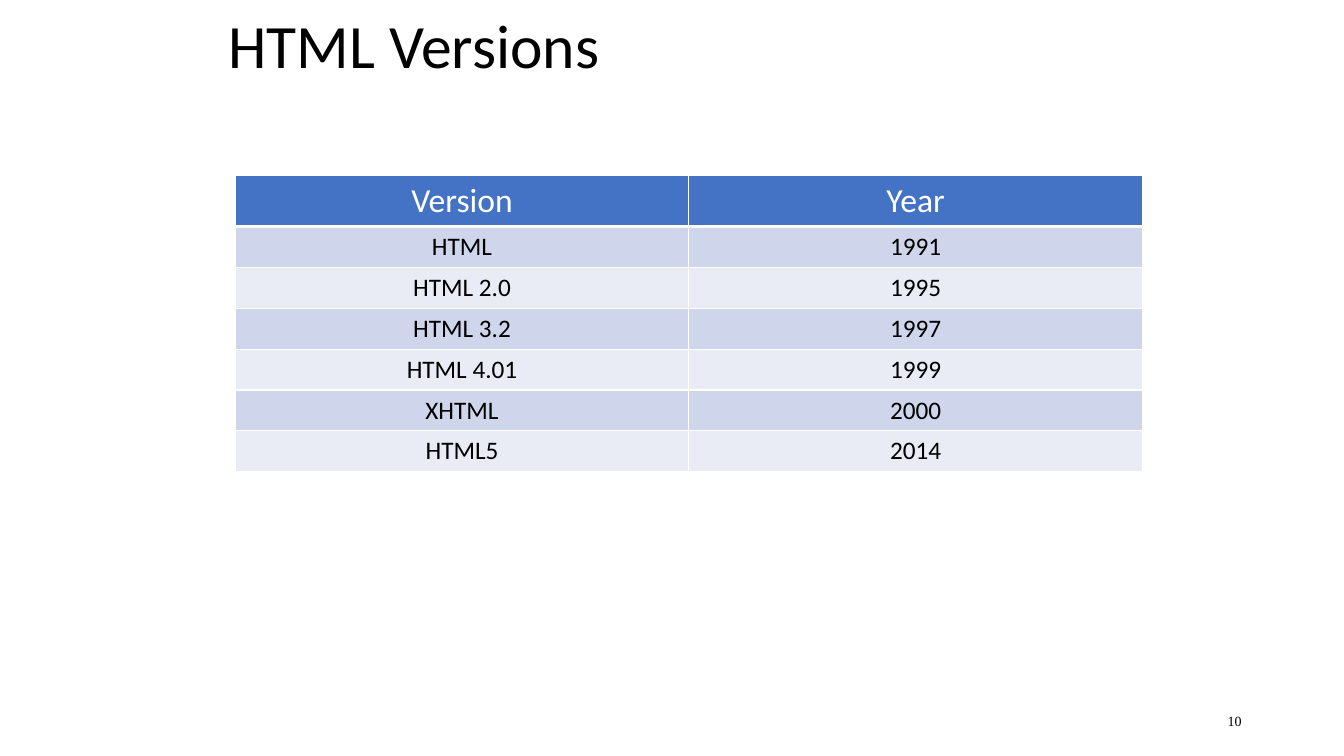
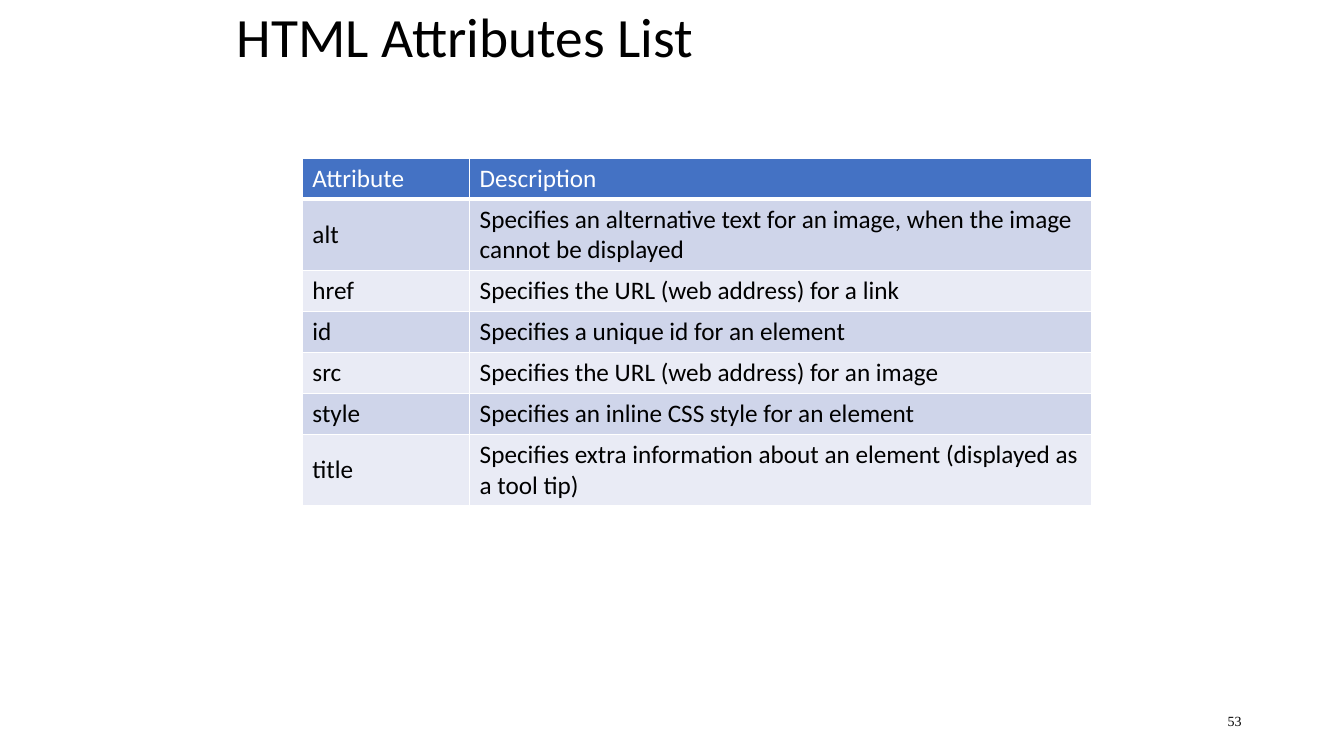
from lxml import etree
from pptx import Presentation
from pptx import util as u
from pptx.dml import color
from pptx.enum import text
from pptx.oxml import ns

COLORS = {
    "ink": "000000",
    "paper": "FFFFFF",
    "header": "4472C4",
    "odd_row": "CFD5EA",
    "even_row": "E9EBF5",
}
BODY_FONT = "Calibri"
NUMBER_FONT = "Times New Roman"
NUMBER_BOX = (678, 500.4, 216, 28.8)
BODY_SIZE = 18
THIN, THICK = 1, 3
LINE_ROW, WRAPPED_ROW = 29.2, 50.4
LEFT, CENTER = text.PP_ALIGN.LEFT, text.PP_ALIGN.CENTER

VERSIONS = [
    ("Version", "Year"),
    ("HTML", "1991"),
    ("HTML 2.0", "1995"),
    ("HTML 3.2", "1997"),
    ("HTML 4.01", "1999"),
    ("XHTML", "2000"),
    ("HTML5", "2014"),
]
ATTRIBUTES = [
    ("Attribute", "Description"),
    ("alt", "Specifies an alternative text for an image, when the image cannot be displayed"),
    ("href", "Specifies the URL (web address) for a link"),
    ("id", "Specifies a unique id for an element"),
    ("src", "Specifies the URL (web address) for an image"),
    ("style", "Specifies an inline CSS style for an element"),
    ("title", "Specifies extra information about an element (displayed as a tool tip)"),
]


def rgb(name):
    return color.RGBColor.from_string(COLORS[name])


def write(frame, content, size, font_name=BODY_FONT, ink="ink", align=LEFT):
    frame.text = content
    frame.word_wrap = True
    frame.vertical_anchor = text.MSO_ANCHOR.MIDDLE
    paragraph = frame.paragraphs[0]
    paragraph.alignment = align
    font = paragraph.font
    font.name, font.size, font.bold = font_name, u.Pt(size), False
    font.color.rgb = rgb(ink)
    return paragraph


def add_title(slide, box, content, size):
    title = slide.shapes.title
    title.left, title.top, title.width, title.height = map(u.Pt, box)
    paragraph = write(title.text_frame, content, size)
    paragraph.line_spacing = 0.9
    title.text_frame.auto_size = text.MSO_AUTO_SIZE.NONE


def add_number(slide, box, number):
    shape = slide.shapes.add_textbox(*map(u.Pt, box))
    write(shape.text_frame, str(number), 10, NUMBER_FONT, align=text.PP_ALIGN.RIGHT)


def set_borders(cell, top, bottom):
    properties = cell._tc.get_or_add_tcPr()
    for side, width in (("L", THIN), ("R", THIN), ("T", top), ("B", bottom)):
        line = etree.SubElement(properties, ns.qn(f"a:ln{side}"), w=str(u.Pt(width)))
        fill = etree.SubElement(line, ns.qn("a:solidFill"))
        etree.SubElement(fill, ns.qn("a:srgbClr"), val=COLORS["paper"])


def add_banded_table(slide, left, top, rows, widths, heights, header_size, align):
    box = (left, top, sum(widths), sum(heights))
    table = slide.shapes.add_table(len(rows), len(widths), *map(u.Pt, box)).table
    for column, width in zip(table.columns, widths):
        column.width = u.Pt(width)
    for index, (row, height, values) in enumerate(zip(table.rows, heights, rows)):
        row.height = u.Pt(height)
        is_header = index == 0
        band = "header" if is_header else "odd_row" if index % 2 else "even_row"
        for cell, value in zip(row.cells, values):
            set_borders(cell, THICK if index == 1 else THIN, THICK if is_header else THIN)
            cell.fill.solid()
            cell.fill.fore_color.rgb = rgb(band)
            write(cell.text_frame, value, header_size if is_header else BODY_SIZE,
                  ink="paper" if is_header else "ink", align=align)
            cell.vertical_anchor = text.MSO_ANCHOR.MIDDLE


def add_table_slide(presentation, title, title_box, title_size, number, **table):
    slide = presentation.slides.add_slide(presentation.slide_layouts[5])
    add_title(slide, title_box, title, title_size)
    add_banded_table(slide, **table)
    add_number(slide, NUMBER_BOX, number)


def main():
    presentation = Presentation()
    presentation.slide_width, presentation.slide_height = u.Pt(960), u.Pt(540)
    add_table_slide(
        presentation, "HTML Versions", (156, 3.6, 648, 62.4), 44, 10,
        left=168, top=125.3, rows=VERSIONS, widths=[324, 324],
        heights=[36] + [LINE_ROW] * 6, header_size=24, align=CENTER)
    add_table_slide(
        presentation, "HTML Attributes List", (162, 0, 648, 57), 39.6, 53,
        left=216, top=113, rows=ATTRIBUTES, widths=[119.5, 444.5],
        heights=[LINE_ROW, WRAPPED_ROW] + [LINE_ROW] * 4 + [WRAPPED_ROW],
        header_size=BODY_SIZE, align=LEFT)
    presentation.save("out.pptx")


if __name__ == "__main__":
    main()
